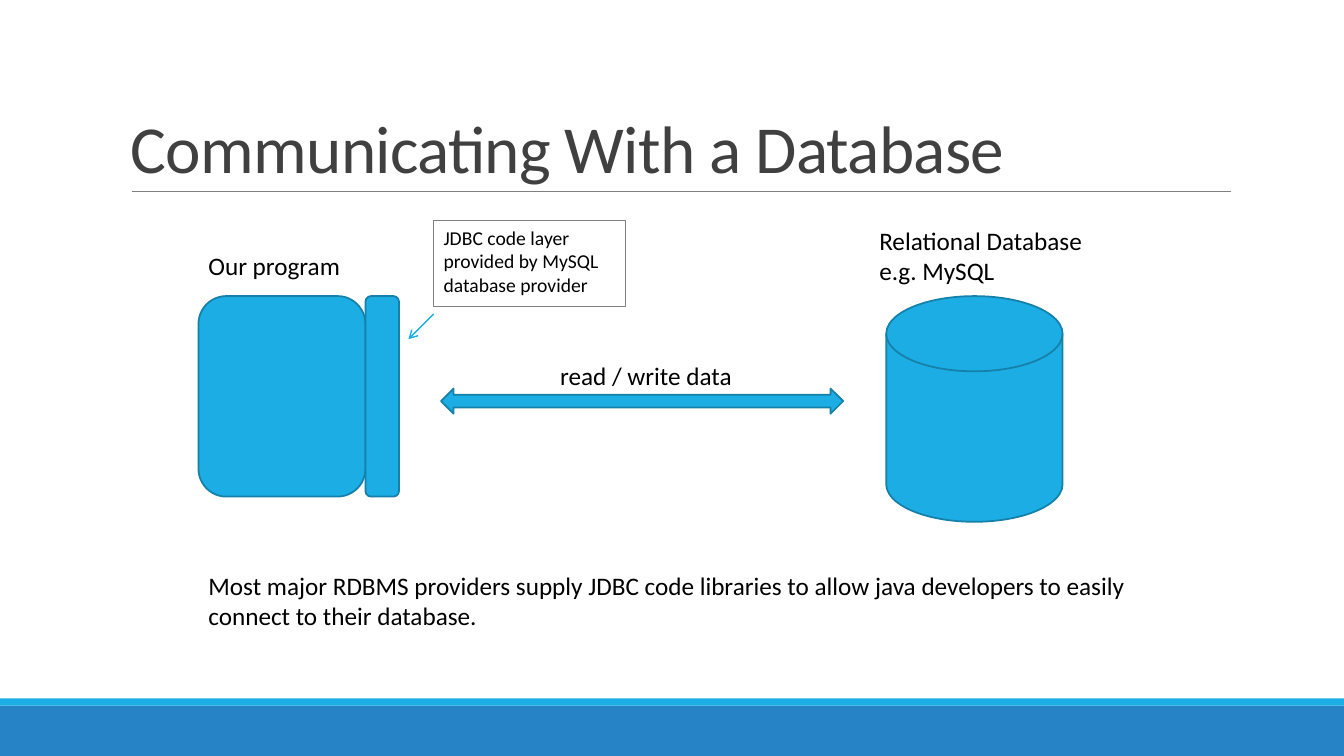
"""Build a slide showing how a Java program reaches a database through JDBC."""
from dataclasses import dataclass

from lxml.etree import SubElement
from pptx import Presentation
from pptx.dml.color import RGBColor
from pptx.enum.shapes import MSO_CONNECTOR, MSO_SHAPE
from pptx.enum.text import MSO_ANCHOR, MSO_AUTO_SIZE, PP_ALIGN
from pptx.oxml.ns import qn
from pptx.util import Pt

PX = 9525


@dataclass(frozen=True)
class Theme:
    font: str = "Calibri"
    accent: RGBColor = RGBColor(0x1C, 0xAD, 0xE4)
    outline: RGBColor = RGBColor(0x15, 0x80, 0xA9)
    footer: RGBColor = RGBColor(0x26, 0x83, 0xC6)
    rule: RGBColor = RGBColor(0x80, 0x80, 0x80)
    title: RGBColor = RGBColor(0x40, 0x40, 0x40)
    text: RGBColor = RGBColor(0, 0, 0)
    title_size: Pt = Pt(48)
    body_size: Pt = Pt(18)
    callout_size: Pt = Pt(14)


theme = Theme()


def write(shape, text, size, color):
    """Fill a shape with left-aligned text, one paragraph per line."""
    frame = shape.text_frame
    frame.text = text
    frame.word_wrap = True
    frame.auto_size = MSO_AUTO_SIZE.NONE
    for paragraph in frame.paragraphs:
        paragraph.alignment = PP_ALIGN.LEFT
        paragraph.font.name = theme.font
        paragraph.font.size = size
        paragraph.font.color.rgb = color
    return frame


def draw_line(start, end, color, width):
    """Add a straight, shadowless line between two points."""
    points = [value * PX for value in (*start, *end)]
    line = slide.shapes.add_connector(MSO_CONNECTOR.STRAIGHT, *points)
    line.line.color.rgb = color
    line.line.width = Pt(width)
    SubElement(line._element.spPr, qn("a:effectLst"))
    return line


presentation = Presentation()
presentation.slide_width = 1280 * PX
presentation.slide_height = 720 * PX
slide = presentation.slides.add_slide(presentation.slide_layouts[5])

title = slide.shapes.title
title.left, title.top, title.width, title.height = (
    value * PX for value in (115, 30, 1056, 153)
)
title_frame = write(title, "Communicating With a Database", theme.title_size, theme.title)
title_frame.vertical_anchor = MSO_ANCHOR.BOTTOM
title_frame.paragraphs[0].line_spacing = 0.85
title_frame.paragraphs[0].runs[0].font._element.set("spc", "-50")

draw_line((126, 182), (1172, 182), theme.rule, 0.5)

for top, height, color in ((672, 48, theme.footer), (665, 7, theme.accent)):
    bar = slide.shapes.add_shape(MSO_SHAPE.RECTANGLE, 0, top * PX, 1280 * PX, height * PX)
    bar.shadow.inherit = False
    bar.fill.solid()
    bar.fill.fore_color.rgb = color
    bar.line.fill.background()

diagram_shapes = (
    (MSO_SHAPE.FLOWCHART_ALTERNATE_PROCESS, 189, 282, 159, 191),
    (MSO_SHAPE.FLOWCHART_ALTERNATE_PROCESS, 348, 282, 32, 191),
    (MSO_SHAPE.FLOWCHART_MAGNETIC_DISK, 844, 282, 168, 215),
    (MSO_SHAPE.LEFT_RIGHT_ARROW, 420, 370, 383, 24),
)
for kind, *box in diagram_shapes:
    shape = slide.shapes.add_shape(kind, *(value * PX for value in box))
    shape.shadow.inherit = False
    shape.fill.solid()
    shape.fill.fore_color.rgb = theme.accent
    shape.line.color.rgb = theme.outline
    shape.line.width = Pt(1.25)

labels = (
    ("Our program", 189, 234, 155, 41),
    ("Relational Database\ne.g. MySQL", 828, 210, 227, 72),
    ("read / write data", 524, 338, 195, 41),
    (
        "Most major RDBMS providers supply JDBC code libraries to allow java "
        "developers to easily connect to their database.",
        189, 538, 901, 72,
    ),
)
for text, *box in labels:
    label = slide.shapes.add_textbox(*(value * PX for value in box))
    write(label, text, theme.body_size, theme.text)

callout = slide.shapes.add_shape(
    MSO_SHAPE.RECTANGLE, *(value * PX for value in (413, 210, 183, 82))
)
callout.shadow.inherit = False
callout.fill.background()
callout.line.color.rgb = theme.rule
callout.line.width = Pt(0.75)
callout_frame = write(
    callout,
    "JDBC code layer provided by MySQL database provider",
    theme.callout_size,
    theme.text,
)
callout_frame.vertical_anchor = MSO_ANCHOR.TOP

pointer = draw_line((413, 299), (389, 323), theme.accent, 1)
SubElement(pointer.line._get_or_add_ln(), qn("a:tailEnd"), type="arrow")

presentation.save("out.pptx")
